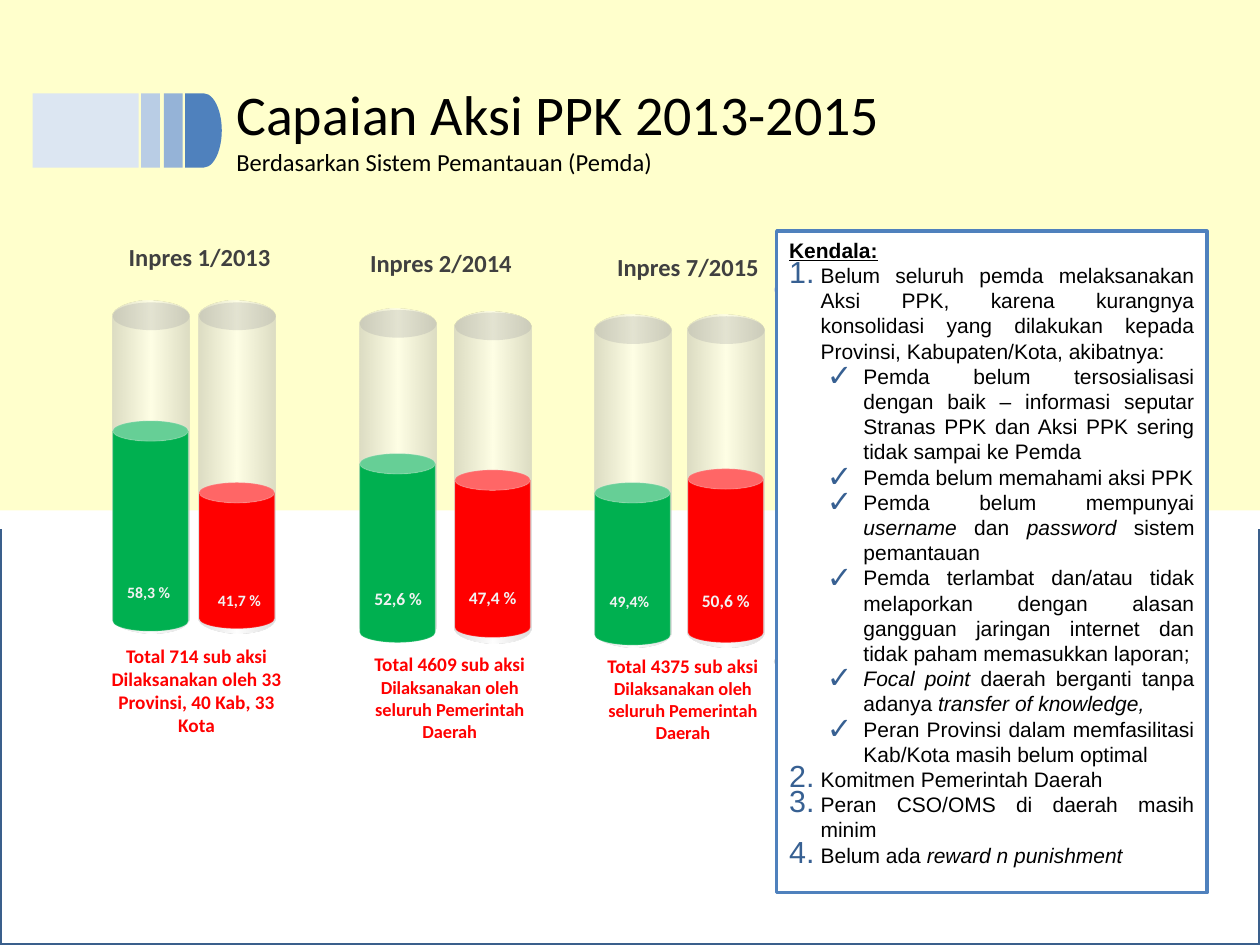
"""Build the slide on PPK action results for 2013-2015 and save it."""
from pptx import Presentation
from pptx.dml.color import RGBColor
from pptx.enum.shapes import MSO_CONNECTOR, MSO_SHAPE
from pptx.enum.text import MSO_ANCHOR, PP_ALIGN
from pptx.oxml import parse_xml
from pptx.oxml.ns import nsdecls
from pptx.oxml.xmlchemy import OxmlElement
from pptx.util import Inches, Pt

rgb = RGBColor.from_string


def paint(sp, fill, line=None, width=0, fill_alpha=None, line_alpha=None):
    """Set the fill, outline and opacity of a shape and remove its shadow."""
    sp.shadow.inherit = False
    sp.fill.solid()
    sp.fill.fore_color.rgb = rgb(fill)
    if line:
        sp.line.color.rgb = rgb(line)
        sp.line.width = Pt(width)
    else:
        sp.line.fill.background()
    for part, alpha in ((sp.fill, fill_alpha), (sp.line.fill, line_alpha)):
        if alpha:
            clr = part.fore_color._xFill.find(".//{*}srgbClr")
            clr.append(parse_xml(f'<a:alpha {nsdecls("a")} val="{alpha * 1000}"/>'))


def write(p, text, colour, font, para):
    """Fill a paragraph with runs; parts between asterisks are italic."""
    for name, value in para.items():
        setattr(p, name, value)
    for i, part in enumerate(text.split("*")):
        if part:
            r = p.add_run()
            r.text = part
            r.font.color.rgb = rgb(colour)
            for name, value in {**font, "italic": i % 2 == 1}.items():
                setattr(r.font, name, value)


prs = Presentation()
prs.slide_width, prs.slide_height = Inches(10), Inches(7.5)
U = prs.slide_width // 100
s = prs.slides.add_slide(prs.slide_layouts[5])
centre = {"alignment": PP_ALIGN.CENTER}
justify = {"alignment": PP_ALIGN.JUSTIFY}
bold = {"name": "Calibri", "bold": True}

for top, height, fill, line, width in (
    (41.4, 33.6, "FFFFFF", "3A5F8C", 2),
    (40.2, 1.5, "FFFFFF", "FFFFFF", 4),
    (0, 40.5, "FFFFCC", None, 0),
):
    band = s.shapes.add_shape(MSO_SHAPE.RECTANGLE, 0, int(top * U), prs.slide_width, int(height * U))
    paint(band, fill, line, width)

title = s.shapes.title
s.shapes._spTree.append(title._element)
for name, value in zip(("left", "top", "width", "height"), (17.75, 5.8, 65.6, 8.6)):
    setattr(title, name, int(value * U))
tf = title.text_frame
tf.vertical_anchor = MSO_ANCHOR.TOP
tf.margin_left, tf.margin_top, tf.margin_right, tf.margin_bottom = U, U // 2, int(1.6 * U), int(0.4 * U)
write(tf.paragraphs[0], "Capaian Aksi PPK 2013-2015", "000000", {"name": "Calibri", "size": Pt(32)}, justify)
write(tf.add_paragraph(), "Berdasarkan Sistem Pemantauan (Pemda)", "000000",
      {"name": "Calibri", "size": Pt(14)}, {"alignment": PP_ALIGN.LEFT})

badge = s.shapes.add_group_shape()
for left, width, fill, kind in (
    (2.6, 8.4, "DCE6F2", MSO_SHAPE.RECTANGLE),
    (11.2, 1.5, "B9CDE5", MSO_SHAPE.RECTANGLE),
    (13, 1.5, "95B3D7", MSO_SHAPE.RECTANGLE),
    (14.7, 2.9, "4F81BD", MSO_SHAPE.FLOWCHART_DELAY),
):
    paint(badge.shapes.add_shape(kind, int(left * U), int(7.4 * U), int(width * U), int(5.9 * U)), fill)

for left, top in ((9.7, 47.2), (30.5, 47.4), (52, 47.2)):
    gloss = s.shapes.add_shape(MSO_SHAPE.OVAL, int(left * U), int(top * U), int(6.1 * U), int(2.5 * U))
    paint(gloss, "FFFFFF", fill_alpha=10)

divider = s.shapes.add_connector(MSO_CONNECTOR.STRAIGHT, int(61.7 * U), 23 * U, int(61.7 * U), int(52.5 * U))
divider.line.color.rgb = rgb("D9D9D9")
divider.line.width = Pt(1)
for tag in ("a:headEnd", "a:tailEnd"):
    end = OxmlElement(tag)
    for name, value in {"type": "oval", "w": "sm", "len": "sm"}.items():
        end.set(name, value)
    divider.line._get_or_add_ln().append(end)
divider._element.spPr.append(OxmlElement("a:effectLst"))

stops = "".join(
    f'<a:gs pos="{pos}"><a:srgbClr val="{c}"><a:alpha val="50000"/></a:srgbClr></a:gs>'
    for pos, c in ((0, "BABABA"), (50000, "FFFFFF"), (100000, "BABABA"))
)
glass = f'<a:gradFill {nsdecls("a")}><a:gsLst>{stops}</a:gsLst><a:lin ang="0" scaled="0"/></a:gradFill>'
curves = "".join(
    "<a:cubicBezTo>" + "".join(f'<a:pt x="{x}" y="{y}"/>' for x, y in curve) + "</a:cubicBezTo>"
    for curve in (
        ((0, 13), (0, 132), (0, 252)),
        ((2, 260), (19, 263), (29, 264)),
        ((39, 264), (60, 262), (61, 251)),
        ((61, 132), (61, 13), (61, 13)),
        ((59, 2), (37, 0), (27, 0)),
        ((17, 0), (0, 5), (0, 13)),
    )
)
tube_path = (f'<a:path {nsdecls("a")} w="61" h="264"><a:moveTo><a:pt x="0" y="13"/></a:moveTo>'
             f'{curves}<a:close/></a:path>')

for left, top, can_top, can_height, fill, label, label_left, label_top, label_width, size in (
    (8.95, 23.9, 33.4, 16.7, "00B050", "58,3 %", 8.9, 45.8, 5.8, 9),
    (15.8, 23.9, 38.3, 11.6, "FF0000", "41,7 %", 16.1, 46.4, 5.8, 9),
    (28.55, 24.5, 36, 15, "00B050", "52,6 %", 28.6, 46.2, 6, 10),
    (36.1, 24.7, 37.3, 13.3, "FF0000", "47,4 %", 36.1, 46.1, 6, 10),
    (47.2, 25, 38.3, 12.9, "00B050", "49,4%", 47.2, 46.5, 5.5, 9),
    (54.6, 25, 37.2, 13.8, "FF0000", "50,6 %", 54.6, 46.3, 6, 10),
):
    tube = s.shapes.add_group_shape().shapes
    x, y, w, h = (int(v * U) for v in (left, top, 6.1, 26.4))
    pen = tube.build_freeform(x, y)
    pen.add_line_segments(((x + w, y), (x + w, y + h), (x, y + h)))
    body = pen.convert_to_shape()
    paint(body, "FFFFFF")
    for tag, xml in (("path", tube_path), ("solidFill", glass)):
        old = next(body._element.spPr.iter("{*}" + tag))
        old.getparent().replace(old, parse_xml(xml))
    rim = tube.add_shape(MSO_SHAPE.OVAL, x, int((top + 0.1) * U), w, int(2.2 * U))
    paint(rim, "A6A6A6", fill_alpha=30)
    can = tube.add_shape(MSO_SHAPE.CAN, x, int(can_top * U), 6 * U, int(can_height * U))
    can.adjustments[0] = 0.27
    paint(can, fill, "F8F8F8", 0.75, line_alpha=15)
    tf = s.shapes.add_textbox(int(label_left * U), int(label_top * U), int(label_width * U), int(2.6 * U)).text_frame
    tf.word_wrap = False
    write(tf.paragraphs[0], label, "F2F2F2", {**bold, "size": Pt(size)}, centre)

regions = "Dilaksanakan oleh seluruh Pemerintah Daerah"
for name, head_box, total, detail, detail_size, note_box in (
    ("Inpres 1/2013", (8.8, 19, 14.1, 3.1), "Total 714 sub aksi",
     "Dilaksanakan oleh 33 Provinsi, 40 Kab, 33 Kota", 11, (7.15, 50.65, 16.9, 8.4)),
    ("Inpres 2/2014", (28, 19.45, 14, 3.1), "Total 4609 sub aksi", regions, 10.5, (26.85, 51.3, 17.7, 8.2)),
    ("Inpres 7/2015", (45.85, 19.75, 17.5, 3.1), "Total 4375 sub aksi", regions, 10.5, (45.35, 51.4, 17.7, 8.2)),
):
    tf = s.shapes.add_textbox(*(int(v * U) for v in head_box)).text_frame
    tf.word_wrap = True
    write(tf.paragraphs[0], name, "404040", {**bold, "size": Pt(14)}, {**centre, "line_spacing": 0.9})
    tf = s.shapes.add_textbox(*(int(v * U) for v in note_box)).text_frame
    tf.word_wrap = True
    write(tf.paragraphs[0], total, "FF0000", {**bold, "size": Pt(11)}, centre)
    write(tf.add_paragraph(), detail, "FF0000", {**bold, "size": Pt(detail_size)}, centre)

box = s.shapes.add_shape(MSO_SHAPE.RECTANGLE, *(int(v * U) for v in (61.65, 18.35, 34.15, 52.5)))
paint(box, "FFFFFF", "4F81BD", 2)
tf = box.text_frame
tf.word_wrap = True
tf.vertical_anchor = MSO_ANCHOR.TOP
arial = {"name": "Arial", "size": Pt(12)}
write(tf.paragraphs[0], "Kendala:", "000000", {**arial, "bold": True, "underline": True}, {"alignment": PP_ALIGN.LEFT})
for level, text in (
    (0, "Belum seluruh pemda melaksanakan Aksi PPK, karena kurangnya konsolidasi yang dilakukan "
        "kepada Provinsi, Kabupaten/Kota, akibatnya:"),
    (1, "Pemda belum tersosialisasi dengan baik – informasi seputar Stranas PPK dan Aksi PPK "
        "sering tidak sampai ke Pemda"),
    (1, "Pemda belum memahami aksi PPK"),
    (1, "Pemda belum mempunyai *username* dan *password* sistem pemantauan"),
    (1, "Pemda terlambat dan/atau tidak melaporkan dengan alasan gangguan jaringan internet dan "
        "tidak paham memasukkan laporan;"),
    (1, "*Focal point* daerah berganti tanpa adanya *transfer of knowledge,*"),
    (1, "Peran Provinsi dalam memfasilitasi Kab/Kota masih belum optimal"),
    (0, "Komitmen Pemerintah Daerah"),
    (0, "Peran CSO/OMS di daerah masih minim"),
    (0, "Belum ada *reward n punishment*"),
):
    p = tf.add_paragraph()
    pPr = p._p.get_or_add_pPr()
    indent, hang = ((2.5, 2.5), (5.9, 2.9))[level]
    pPr.set("marL", str(int(indent * U)))
    pPr.set("indent", str(-int(hang * U)))
    mark = ('<a:buAutoNum type="arabicPeriod"/>', '<a:buChar char="✓"/>')[level]
    bullet = (f'<a:pPr {nsdecls("a")}><a:buClr><a:srgbClr val="376092"/></a:buClr>'
              f'<a:buSzPct val="145000"/><a:buFont typeface="Arial"/>{mark}</a:pPr>')
    for element in list(parse_xml(bullet)):
        pPr.append(element)
    write(p, text, "000000", arial, {**justify, "level": level})

prs.save("out.pptx")
